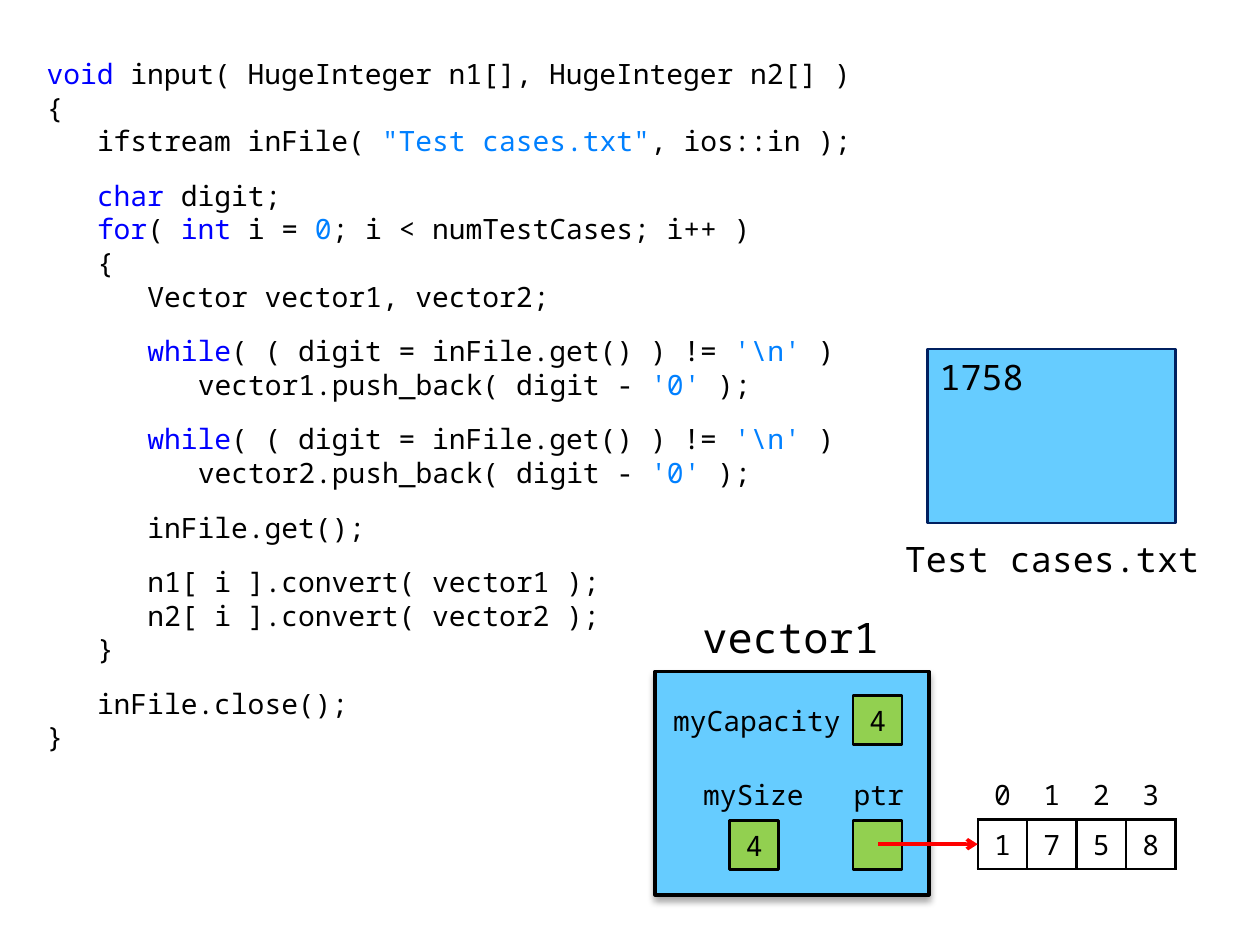
from lxml import etree
from pptx import Presentation
from pptx.dml.color import RGBColor
from pptx.enum.shapes import MSO_CONNECTOR, MSO_SHAPE
from pptx.enum.text import MSO_ANCHOR, MSO_AUTO_SIZE, PP_ALIGN
from pptx.oxml.ns import qn
from pptx.util import Inches, Pt

LEFT, CENTER, RIGHT = PP_ALIGN.LEFT, PP_ALIGN.CENTER, PP_ALIGN.RIGHT
TOP, MIDDLE = MSO_ANCHOR.TOP, MSO_ANCHOR.MIDDLE
RECTANGLE, PROCESS = MSO_SHAPE.RECTANGLE, MSO_SHAPE.FLOWCHART_PROCESS
STRAIGHT = MSO_CONNECTOR.STRAIGHT
NO_AUTOFIT = MSO_AUTO_SIZE.NONE

FONT = "Noto Sans Mono"
BLACK = RGBColor(0, 0, 0)
NAVY = RGBColor(0x00, 0x20, 0x60)
SKY = RGBColor(0x66, 0xCC, 0xFF)
GREEN = RGBColor(0x92, 0xD0, 0x50)
RED = RGBColor(0xFF, 0, 0)
KEYWORD = RGBColor(0, 0, 0xFF)
LITERAL = RGBColor(0, 0x80, 0xFF)

CELL = 0.39
INDENT = 0.4
LINE_PITCH = 19.2


def while_lines(vector):
    return [
        (2, 12, [("while", KEYWORD), ("( ( digit = inFile.get() ) != ", BLACK),
                 ("'\\n'", LITERAL), (" )", BLACK)]),
        (3, 0, [(vector + ".push_back( digit - ", BLACK), ("'0'", LITERAL), (" );", BLACK)]),
    ]


CODE = [
    (0, 0, [("void", KEYWORD), (" input( HugeInteger n1[], HugeInteger n2[] )", BLACK)]),
    (0, 0, [("{", BLACK)]),
    (1, 0, [("ifstream inFile( ", BLACK), ('"Test cases.txt"', LITERAL),
            (", ios::in );", BLACK)]),
    (1, 12, [("char", KEYWORD), (" digit;", BLACK)]),
    (1, 0, [("for", KEYWORD), ("( ", BLACK), ("int", KEYWORD), (" i = ", BLACK),
            ("0", LITERAL), ("; i < numTestCases; i++ )", BLACK)]),
    (1, 0, [("{", BLACK)]),
    (2, 0, [("Vector vector1, vector2;", BLACK)]),
    *while_lines("vector1"),
    *while_lines("vector2"),
    (2, 12, [("inFile.get();", BLACK)]),
    (2, 12, [("n1[ i ].convert( vector1 );", BLACK)]),
    (2, 0, [("n2[ i ].convert( vector2 );", BLACK)]),
    (1, 0, [("}", BLACK)]),
    (1, 12, [("inFile.close();", BLACK)]),
    (0, 0, [("}", BLACK)]),
]


def add_span(para, text, size, color=BLACK):
    span = para.add_run()
    span.text = text
    span.font.name = FONT
    span.font.size = Pt(size)
    span.font.color.rgb = color


def write_label(frame, text, size, align, anchor):
    frame.word_wrap = True
    frame.vertical_anchor = anchor
    para = frame.paragraphs[0]
    para.alignment = align
    add_span(para, text, size)


def add_code(slide):
    body = slide.placeholders[1]
    body.left, body.top = Inches(0.27), Inches(0.4)
    body.width, body.height = Inches(6.69), Inches(5.71)
    frame = body.text_frame
    frame.word_wrap = True
    frame.auto_size = NO_AUTOFIT
    for number, (level, space, spans) in enumerate(CODE):
        para = frame.add_paragraph() if number else frame.paragraphs[0]
        para.space_before = Pt(space)
        para.line_spacing = Pt(LINE_PITCH)
        properties = para._p.get_or_add_pPr()
        properties.set("marL", str(Inches(level * INDENT)))
        properties.set("indent", "0")
        etree.SubElement(properties, qn("a:buNone"))
        for text, color in spans:
            add_span(para, text, 16, color)


def add_box(slide, kind, place, fill, line, width):
    box = slide.shapes.add_shape(kind, *map(Inches, place))
    box.shadow.inherit = False
    box.fill.solid()
    box.fill.fore_color.rgb = fill
    box.line.color.rgb = line
    box.line.width = Pt(width)
    return box


def add_label(slide, place, text, size, align=CENTER):
    box = slide.shapes.add_textbox(*map(Inches, place))
    write_label(box.text_frame, text, size, align, MIDDLE)
    return box


def add_field(slide, left, top, value=""):
    box = add_box(slide, RECTANGLE, (left, top, CELL, CELL), GREEN, BLACK, 1.5)
    if value:
        frame = box.text_frame
        frame.margin_left = frame.margin_right = 0
        write_label(frame, value, 16, CENTER, MIDDLE)


def add_drop_shadow(box):
    effects = box._element.spPr.find(qn("a:effectLst"))
    shadow = etree.SubElement(effects, qn("a:outerShdw"), blurRad=str(Pt(4)),
                              dist=str(Pt(3)), dir="5400000", rotWithShape="0")
    color = etree.SubElement(shadow, qn("a:srgbClr"), val=str(BLACK))
    etree.SubElement(color, qn("a:alpha"), val="35000")


def add_cell_border(cell):
    properties = cell._tc.get_or_add_tcPr()
    for index, side in enumerate(("a:lnL", "a:lnR", "a:lnT", "a:lnB")):
        line = etree.Element(qn(side), w=str(Pt(1.5)))
        fill = etree.SubElement(line, qn("a:solidFill"))
        etree.SubElement(fill, qn("a:srgbClr"), val=str(BLACK))
        properties.insert(index, line)


def add_array(slide, digits):
    rows = [[str(index) for index in range(len(digits))], list(digits)]
    frame = slide.shapes.add_table(2, len(digits), Inches(7.76), Inches(6.11),
                                   Inches(1.57), Inches(0.79))
    table = frame.table
    table.first_row = False
    table.horz_banding = False
    for row, values in enumerate(rows):
        for column, value in enumerate(values):
            cell = table.cell(row, column)
            cell.fill.background()
            cell.margin_left = cell.margin_right = Inches(0.06)
            cell.margin_top = cell.margin_bottom = Inches(0.04)
            cell.vertical_anchor = MIDDLE
            para = cell.text_frame.paragraphs[0]
            para.alignment = CENTER
            add_span(para, value, 16)
            if row == 1:
                add_cell_border(cell)


def add_arrow(slide, start, end):
    arrow = slide.shapes.add_connector(STRAIGHT, *map(Inches, start + end))
    arrow.line.color.rgb = RED
    arrow.line.width = Pt(2)
    etree.SubElement(arrow.line._get_or_add_ln(), qn("a:tailEnd"), type="arrow")
    etree.SubElement(arrow._element.spPr, qn("a:effectLst"))


def add_file(slide):
    paper = add_box(slide, RECTANGLE, (7.36, 2.77, 1.97, 1.38), SKY, NAVY, 1.5)
    write_label(paper.text_frame, "1758", 20, LEFT, TOP)
    add_label(slide, (6.97, 4.14, 2.76, 0.59), "Test cases.txt", 20)


def add_vector(slide):
    vector = add_box(slide, PROCESS, (5.2, 5.33, 2.17, 1.77), SKY, BLACK, 2.25)
    add_drop_shadow(vector)
    add_label(slide, (6.58, 6.11, 0.79, CELL), "ptr", 16)
    add_field(slide, 6.77, 5.52, "4")
    add_label(slide, (5.2, 5.52, 1.57, CELL), "myCapacity", 16, RIGHT)
    add_field(slide, 6.77, 6.51)
    add_field(slide, 5.79, 6.51, "4")
    add_label(slide, (5.39, 6.11, 1.18, CELL), "mySize", 16)
    name = add_label(slide, (5.39, 4.73, 1.77, 0.59), "vector1", 24)
    name.text_frame.margin_bottom = 0


def main():
    deck = Presentation()
    deck.slide_width, deck.slide_height = Inches(10), Inches(7.5)
    slide = deck.slides.add_slide(deck.slide_layouts[1])
    title = slide.shapes.title._element
    title.getparent().remove(title)
    add_code(slide)
    add_file(slide)
    add_array(slide, "1758")
    add_vector(slide)
    add_arrow(slide, (6.97, 6.7), (7.76, 6.7))
    deck.save("out.pptx")


main()
